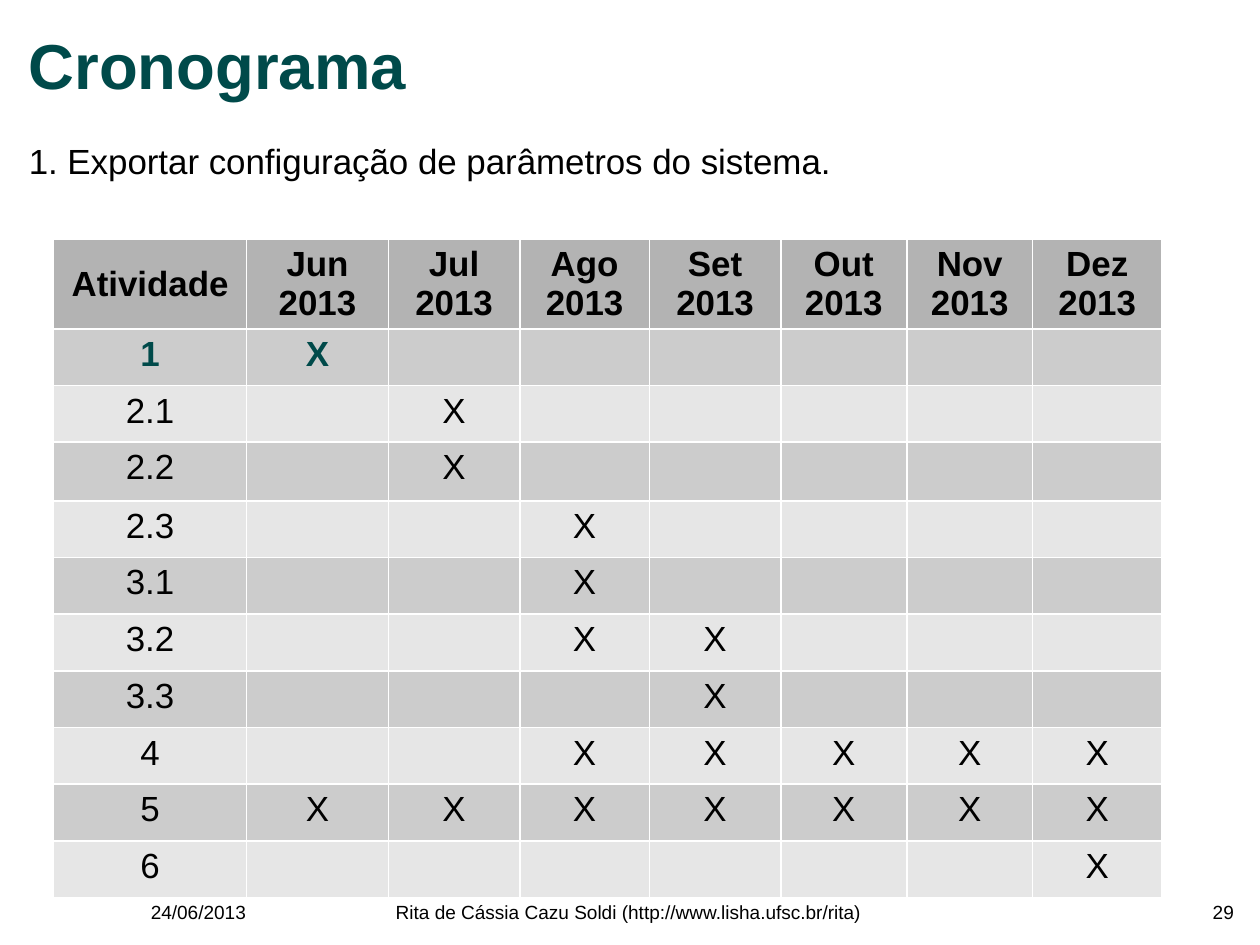
"""Build the Cronograma slide: activities by month in 2013."""
from lxml.etree import SubElement
from pptx import Presentation
from pptx.dml.color import RGBColor
from pptx.enum.text import MSO_ANCHOR as Anchor, PP_ALIGN as Align
from pptx.oxml.ns import qn
from pptx.util import Cm, Pt

COLORS = {"text": "000000", "accent": "004A4A", "header": "B3B3B3",
          "odd": "CCCCCC", "even": "E6E6E6", "border": "FFFFFF"}


def write(frame, text, size, align, color="text", bold=False, spacing=None):
    frame.text = text
    font_values = {"name": "Arial", "size": Pt(size), "bold": bold}
    for paragraph in frame.paragraphs:
        paragraph.alignment = align
        paragraph.line_spacing = spacing
        for attribute, value in font_values.items():
            setattr(paragraph.font, attribute, value)
        paragraph.font.color.rgb = RGBColor.from_string(COLORS[color])


def add_border(cell, side):
    line = SubElement(cell._tc.get_or_add_tcPr(), qn(f"a:ln{side}"), w=str(Pt(1.19)))
    fill = SubElement(line, qn("a:solidFill"))
    SubElement(fill, qn("a:srgbClr"), val=COLORS["border"])


presentation = Presentation()
presentation.slide_width, presentation.slide_height = Cm(28), Cm(21)
slide = presentation.slides.add_slide(presentation.slide_layouts[6])

months = ["Jun", "Jul", "Ago", "Set", "Out", "Nov", "Dez"]
schedule = {
    "1": ["Jun"], "2.1": ["Jul"], "2.2": ["Jul"], "2.3": ["Ago"], "3.1": ["Ago"],
    "3.2": ["Ago", "Set"], "3.3": ["Set"], "4": months[2:], "5": months, "6": ["Dez"],
}
rows = [["Atividade"] + [f"{month}\n2013" for month in months]]
for activity, active in schedule.items():
    rows.append([activity] + ["X" if month in active else "" for month in months])

widths = [4.29, 3.15, 2.92, 2.88, 2.92, 2.8, 2.8, 2.87]
heights = [1.85] + [1.26] * len(schedule)
heights[3] = 1.3
calendar = slide.shapes.add_table(len(rows), len(widths), Cm(1.19), Cm(5.31),
                                  Cm(sum(widths)), Cm(sum(heights))).table
for column, width in zip(calendar.columns, widths):
    column.width = Cm(width)
for row, height in zip(calendar.rows, heights):
    row.height = Cm(height)

cell_margins = {"margin_left": Cm(0.1), "margin_right": Cm(0.1),
                "margin_top": Cm(0.13), "margin_bottom": Cm(0.13)}
for r, entries in enumerate(rows):
    for c, entry in enumerate(entries):
        cell = calendar.cell(r, c)
        inner_sides = {"L": c > 0, "R": c < len(widths) - 1,
                       "T": r > 0, "B": r < len(rows) - 1}
        for side, inner in inner_sides.items():
            if inner:
                add_border(cell, side)
        for attribute, value in cell_margins.items():
            setattr(cell, attribute, value)
        cell.vertical_anchor = Anchor.MIDDLE if r == 0 else Anchor.TOP
        shade = "header" if r == 0 else "odd" if r % 2 else "even"
        cell.fill.solid()
        cell.fill.fore_color.rgb = RGBColor.from_string(COLORS[shade])
        write(cell.text_frame, entry, 22, Align.CENTER,
              color="accent" if r == 1 else "text", bold=r < 2)

footer = {"size": 12}
heading = {"size": 40, "color": "accent", "bold": True, "spacing": 0.8}
texts = [
    ("24/06/2013", (0.7, 20.02, 7.42, 0.53), Align.CENTER, Anchor.TOP, footer),
    ("29", (20, 20.02, 7.42, 0.53), Align.RIGHT, Anchor.TOP, footer),
    ("Rita de Cássia Cazu Soldi (http://www.lisha.ufsc.br/rita)",
     (6.35, 20.02, 15.24, 0.53), Align.CENTER, Anchor.TOP, footer),
    ("Cronograma", (0.64, 0.64, 23.5, 1.9), Align.LEFT, Anchor.MIDDLE, heading),
    ("1. Exportar configuração de parâmetros do sistema.",
     (0.64, 3.1, 26.67, 1.88), Align.LEFT, Anchor.TOP, {"size": 22}),
]
for text, place, align, anchor, style in texts:
    frame = slide.shapes.add_textbox(*map(Cm, place)).text_frame
    frame_values = {"word_wrap": True, "vertical_anchor": anchor, "margin_left": 0,
                    "margin_right": 0, "margin_top": 0, "margin_bottom": 0}
    for attribute, value in frame_values.items():
        setattr(frame, attribute, value)
    write(frame, text, align=align, **style)

presentation.save("out.pptx")
